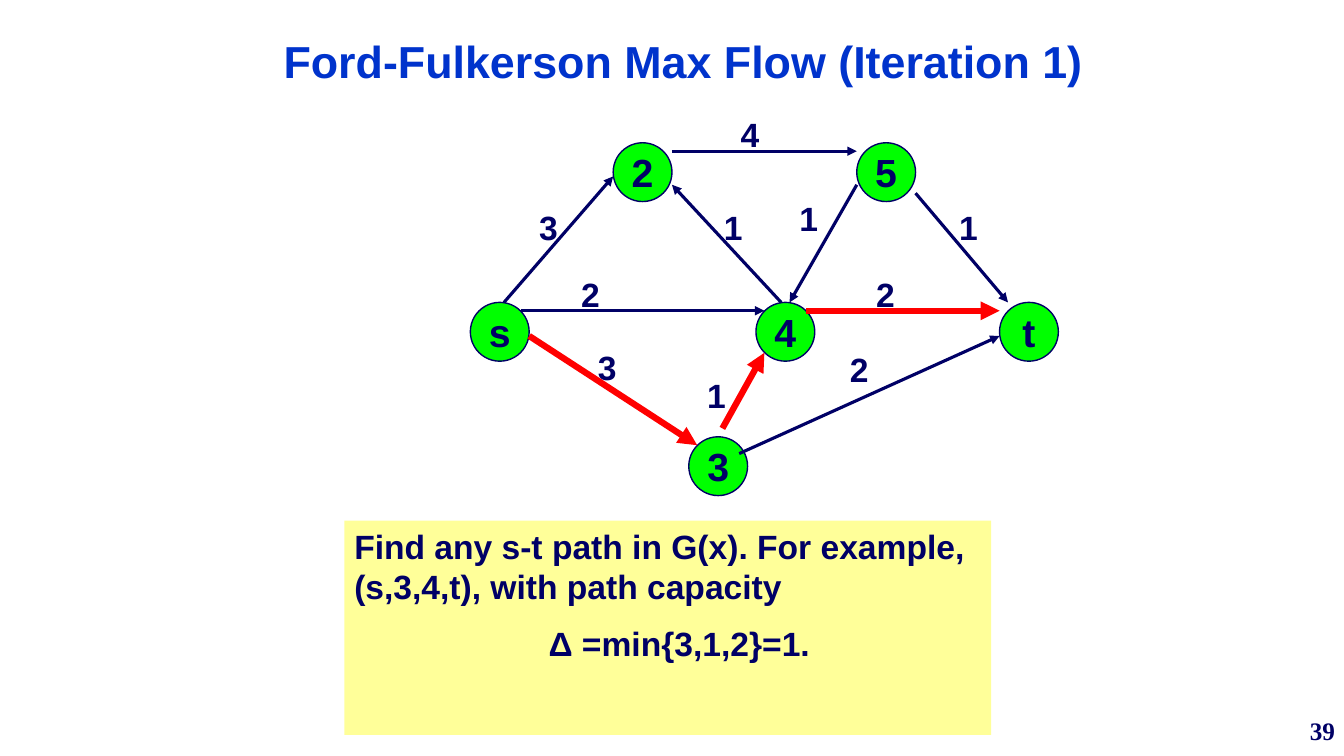
from lxml.etree import SubElement
from pptx import Presentation
from pptx.dml.color import RGBColor as RGB
from pptx.enum.shapes import MSO_CONNECTOR as LINE, MSO_SHAPE as SHAPE
from pptx.enum.text import MSO_ANCHOR as ANCHOR, PP_ALIGN as ALIGN
from pptx.oxml.ns import qn
from pptx.util import Pt

PX = 9525  # EMU in one px, 96 px to the inch
NODE_SIZE = 56
LABEL_SIZE = 57, 48

THEME = {
    "navy": RGB.from_string("000066"),
    "title": RGB.from_string("0033CC"),
    "node": RGB.from_string("00FF00"),
    "path": RGB.from_string("FF0000"),
    "note": RGB.from_string("FFFF99"),
    "title_size": Pt(32),
    "node_size": Pt(28),
    "text_size": Pt(24),
    "number_size": Pt(18),
}


def px(*lengths):
    return [length * PX for length in lengths]


def write(shape, paragraphs, size="text_size", color="navy", font="Arial",
          align=ALIGN.LEFT, anchor=ANCHOR.TOP, wrap=True):
    """Fill a shape with bold paragraphs and return them."""
    frame = shape.text_frame
    frame.text = "\n".join(paragraphs)
    frame.word_wrap, frame.vertical_anchor = wrap, anchor
    font_format = {"name": font, "size": THEME[size], "bold": True}
    for paragraph in frame.paragraphs:
        paragraph.alignment = align
        for key, value in font_format.items():
            setattr(paragraph.font, key, value)
        paragraph.font.color.rgb = THEME[color]
    return frame.paragraphs


prs = Presentation()
prs.slide_width, prs.slide_height = px(1280, 720)
slide = prs.slides.add_slide(prs.slide_layouts[6])
shapes = slide.shapes

page_number = shapes.add_textbox(*px(1035, 672, 246, 48))
write(page_number, ["39"], "number_size", font="Times New Roman",
      align=ALIGN.RIGHT, anchor=ANCHOR.MIDDLE, wrap=False)

title = shapes.add_textbox(*px(54, 32, 1194, 56))
write(title, ["Ford-Fulkerson Max Flow (Iteration 1)"], "title_size", "title",
      align=ALIGN.CENTER, anchor=ANCHOR.BOTTOM)

# Explanation below the network
note = shapes.add_shape(SHAPE.RECTANGLE, *px(328, 496, 616, 204))
note.shadow.inherit = False
note.fill.solid()
note.fill.fore_color.rgb = THEME["note"]
note.line.fill.background()
_, formula = write(note, [
    "Find any s-t path in G(x). For example, (s,3,4,t), with path capacity",
    "Δ =min{3,1,2}=1.",
])
formula.space_before = Pt(12)
formula_indent, = px(185)
formula._p.get_or_add_pPr().set("marL", str(formula_indent))

# Nodes: name and top left corner
nodes = {
    "s": (448, 288),
    "2": (584, 136),
    "4": (720, 288),
    "5": (816, 136),
    "3": (656, 416),
    "t": (952, 288),
}
for name, corner in nodes.items():
    node = shapes.add_shape(SHAPE.OVAL, *px(*corner, NODE_SIZE, NODE_SIZE))
    node.shadow.inherit = False
    node.fill.solid()
    node.fill.fore_color.rgb = THEME["node"]
    node.line.color.rgb = THEME["navy"]
    node.line.width = Pt(1)
    write(node, [name], "node_size", align=ALIGN.CENTER,
          anchor=ANCHOR.MIDDLE, wrap=False)

# Edges: capacity, label corner, start and end, on the augmenting path or not
edges = [
    ("3", (504, 192), (480, 288, 584, 168), False),  # s to 2
    ("2", (544, 256), (496, 296, 728, 296), False),  # s to 4
    ("1", (680, 192), (744, 288, 640, 176), False),  # 4 to 2
    ("4", (696, 104), (640, 144, 816, 144), False),  # 2 to 5
    ("1", (752, 184), (816, 176, 752, 288), False),  # 5 to 4
    ("2", (800, 328), (704, 432, 952, 320), False),  # 3 to t
    ("1", (904, 192), (872, 184, 960, 288), False),  # 5 to t
    ("3", (560, 326), (504, 320, 664, 424), True),   # s to 3
    ("2", (825, 256), (768, 296, 952, 296), True),   # 4 to t
    ("1", (664, 352), (688, 408, 728, 336), True),   # 3 to 4
]
for capacity, corner, ends, on_path in edges:
    label = shapes.add_textbox(*px(*corner, *LABEL_SIZE))
    write(label, [capacity])

    edge = shapes.add_connector(LINE.STRAIGHT, *px(*ends))
    edge.line.color.rgb = THEME["path" if on_path else "navy"]
    edge.line.width = Pt(4.5 if on_path else 2.25)
    SubElement(edge.line._get_or_add_ln(), qn("a:tailEnd"), type="triangle")
    SubElement(edge._element.spPr, qn("a:effectLst"))

prs.save("out.pptx")
